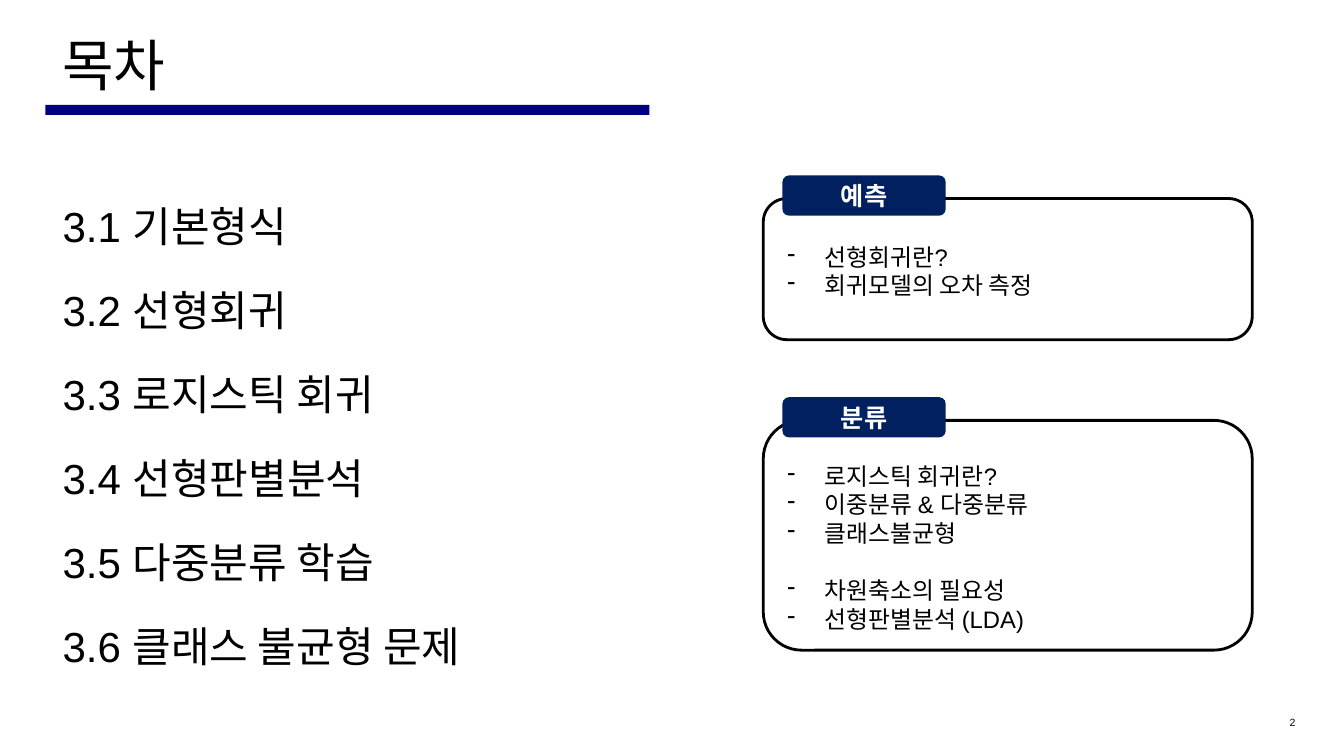
"""Build the contents slide: a chapter list beside two topic panels."""
import pptx
import pptx.dml.color
import pptx.enum.shapes
import pptx.enum.text
import pptx.oxml.ns
import pptx.util
from lxml import etree

Inches, Pt = pptx.util.Inches, pptx.util.Pt
MSO, ANCHOR, ALIGN = (pptx.enum.shapes.MSO_SHAPE, pptx.enum.text.MSO_ANCHOR,
                      pptx.enum.text.PP_ALIGN)

prs = pptx.Presentation()
prs.slide_width, prs.slide_height = Inches(13.33), Inches(7.5)
slide = prs.slides.add_slide(prs.slide_layouts[6])
LEFT, COLUMN = 0.62, 5.99
PANEL_LEFT, PANEL_WIDTH = 7.57, 4.85


def add_box(box, kind, fill=None, line=None):
    sp = slide.shapes.add_shape(kind, *map(Inches, box))
    sp.shadow.inherit = False
    for fmt, color in ((sp.fill, fill), (sp.line.fill, line)):
        if color:
            fmt.solid()
            fmt.fore_color.rgb = pptx.dml.color.RGBColor.from_string(color)
        else:
            fmt.background()
    return sp


def add_text(sp, lines, size, color="000000", anchor=ANCHOR.TOP, align=ALIGN.LEFT, bold=False):
    tf = sp.text_frame
    tf.word_wrap = True
    tf.vertical_anchor = anchor
    tf.margin_left = tf.margin_right = tf.margin_top = tf.margin_bottom = 0
    for i, text in enumerate(lines):
        p = tf.paragraphs[0] if i == 0 else tf.add_paragraph()
        p.alignment = align
        r = p.add_run()
        r.text = text
        r.font.name, r.font.size, r.font.bold = "Arial", Pt(size), bold
        r.font.color.rgb = pptx.dml.color.RGBColor.from_string(color)
    return tf.paragraphs


add_box((0.45, 1.04, COLUMN, 0.1), MSO.RECTANGLE, fill="000082")
title = slide.shapes.add_textbox(*map(Inches, (LEFT, 0.3, 1.92, 0.89)))
add_text(title, ["목차"], 40)

chapters = ["기본형식", "선형회귀", "로지스틱 회귀", "선형판별분석", "다중분류 학습", "클래스 불균형 문제"]
contents = slide.shapes.add_textbox(*map(Inches, (LEFT, 1.74, COLUMN, 5.27)))
for p in add_text(contents, [f"3.{n} {name}" for n, name in enumerate(chapters, 1)], 30):
    p.line_spacing = 1.5
    p.space_before = Pt(6)

panels = [
    ("예측", 1.97, 1.4, 2.97, [["선형회귀란?", "회귀모델의 오차 측정"]]),
    ("분류", 4.17, 2.28, 6.28, [["로지스틱 회귀란?", "이중분류 & 다중분류", "클래스불균형"],
                              ["차원축소의 필요성", "선형판별분석 (LDA)"]]),
]
for name, top, height, text_bottom, groups in panels:
    add_box((PANEL_LEFT, top, PANEL_WIDTH, height), MSO.ROUNDED_RECTANGLE, line="000000").line.width = Pt(2)
    tab = add_box((PANEL_LEFT + 0.19, top - 0.23, 1.62, 0.4), MSO.ROUNDED_RECTANGLE, fill="002060")
    add_text(tab, [name], 18, "FFFFFF", ANCHOR.MIDDLE, ALIGN.CENTER, True)

    text_top = top + 0.3
    topics = slide.shapes.add_textbox(
        *map(Inches, (PANEL_LEFT + 0.11, text_top, 4.62, text_bottom - text_top)))
    paragraphs = add_text(topics, sum(groups, []), 17, anchor=ANCHOR.BOTTOM)
    for p in paragraphs:
        pPr = p._p.get_or_add_pPr()
        pPr.set("marL", str(Inches(0.5)))
        pPr.set("indent", str(Inches(-0.37)))
        etree.SubElement(pPr, pptx.oxml.ns.qn("a:buChar")).set("char", "-")
    if len(groups) > 1:
        paragraphs[len(groups[0])].space_before = Pt(20.5)

number = slide.shapes.add_textbox(*map(Inches, (10.92, 7.1, 1.93, 0.13)))
add_text(number, ["2"], 7.5, anchor=ANCHOR.BOTTOM, align=ALIGN.RIGHT)

prs.save("out.pptx")
